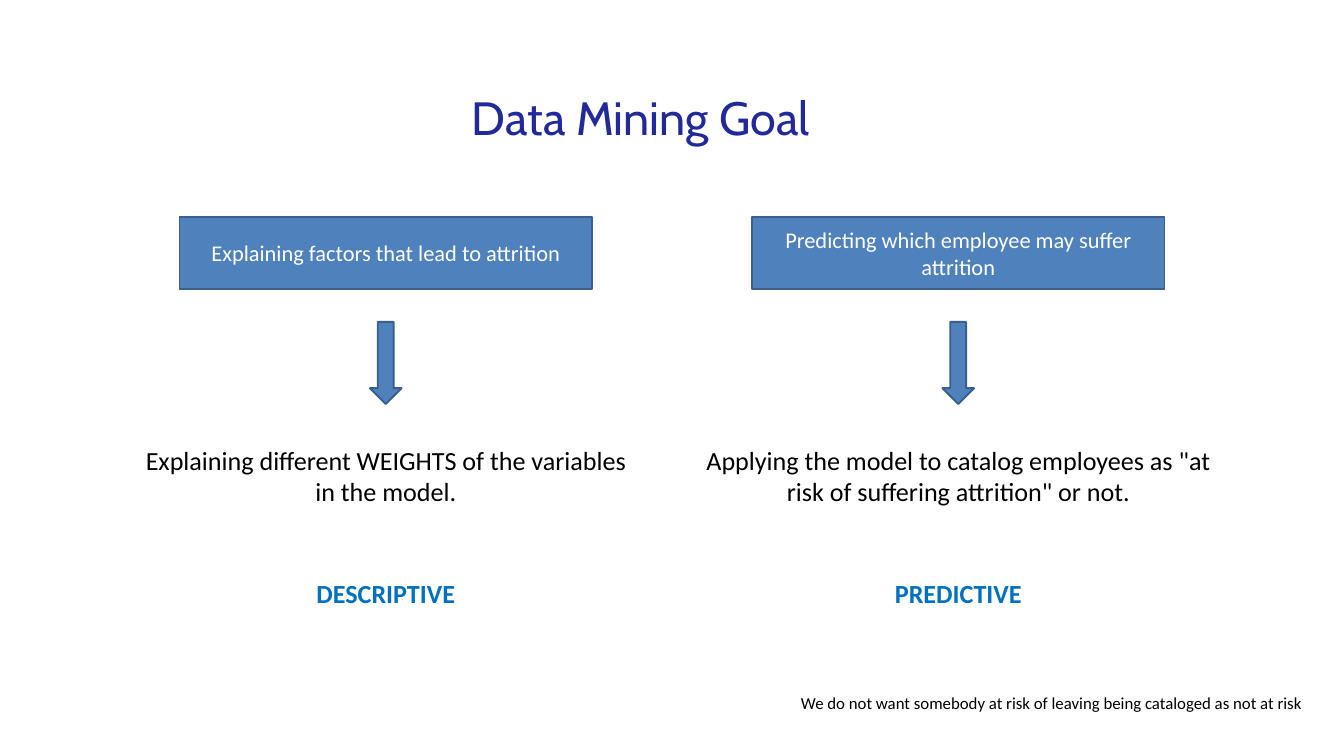
from dataclasses import dataclass

from pptx import Presentation
from pptx.dml.color import RGBColor
from pptx.enum.shapes import MSO_SHAPE as Shape
from pptx.enum.text import MSO_ANCHOR as Anchor, MSO_AUTO_SIZE as AutoSize, PP_ALIGN as Align
from pptx.util import Pt

BLUE, EDGE = "4F81BD", "3A5F8C"


@dataclass
class Goal:
    center: float
    question: str
    method: str
    method_width: float
    kind: str


GOALS = [
    Goal(413.3, "Explaining factors that lead to attrition",
         "Explaining different WEIGHTS of the variables in the model.", 539.3, "DESCRIPTIVE"),
    Goal(1026.7, "Predicting which employee may suffer attrition",
         'Applying the model to catalog employees as "at risk of suffering attrition" or not.',
         573.8, "PREDICTIVE"),
]


def rgb(color: str) -> RGBColor:
    return RGBColor.from_string(color)


def set_text(sp, text: str, *, size: float, color: str = "000000", font: str = "Calibri",
             bold: bool = False, align=Align.CENTER, anchor=Anchor.TOP):
    tf = sp.text_frame
    tf.word_wrap = True
    tf.auto_size = AutoSize.NONE
    tf.vertical_anchor = anchor
    p = tf.paragraphs[0]
    p.alignment = align
    r = p.add_run()
    r.text = text
    r.font.name, r.font.size, r.font.bold = font, Pt(size), bold
    r.font.color.rgb = rgb(color)
    return tf


def add_block(s, shape, center: float, top: float, width: float, height: float):
    sp = s.shapes.add_shape(shape, Pt(center - width / 2), Pt(top), Pt(width), Pt(height))
    sp.shadow.inherit = False
    sp.fill.solid()
    sp.fill.fore_color.rgb = rgb(BLUE)
    sp.line.color.rgb = rgb(EDGE)
    sp.line.width = Pt(2)
    return sp


def add_label(s, text: str, center: float, top: float, width: float, height: float, **fmt):
    sp = s.shapes.add_textbox(Pt(center - width / 2), Pt(top), Pt(width), Pt(height))
    set_text(sp, text, **fmt)


def add_title(s, text: str) -> None:
    sp = s.shapes.title
    sp.left, sp.top, sp.width, sp.height = Pt(-34), Pt(85.7), Pt(1441), Pt(65)
    tf = set_text(sp, text, size=50, color="222A9B", font="Cabin")
    tf.margin_left = tf.margin_right = tf.margin_top = tf.margin_bottom = 0
    tf.paragraphs[0].line_spacing = Pt(70)


def add_goal(s, goal: Goal) -> None:
    box = add_block(s, Shape.RECTANGLE, goal.center, 232.6, 442, 77)
    set_text(box, goal.question, size=24, color="FFFFFF", anchor=Anchor.MIDDLE)
    add_block(s, Shape.DOWN_ARROW, goal.center, 344.9, 34, 88)
    add_label(s, goal.method, goal.center, 472.3, goal.method_width, 75, size=28)
    add_label(s, goal.kind, goal.center, 614.9, 539.3, 41, size=28, color="0070C0", bold=True)


def main() -> None:
    prs = Presentation()
    prs.slide_width, prs.slide_height = Pt(1440), Pt(810)
    s = prs.slides.add_slide(prs.slide_layouts[5])
    add_title(s, "Data Mining Goal")
    for goal in GOALS:
        add_goal(s, goal)
    add_label(s, "We do not want somebody at risk of leaving being cataloged as not at risk",
              1138, 738.7, 573.8, 29, size=18, align=Align.LEFT)
    prs.save("out.pptx")


if __name__ == "__main__":
    main()
